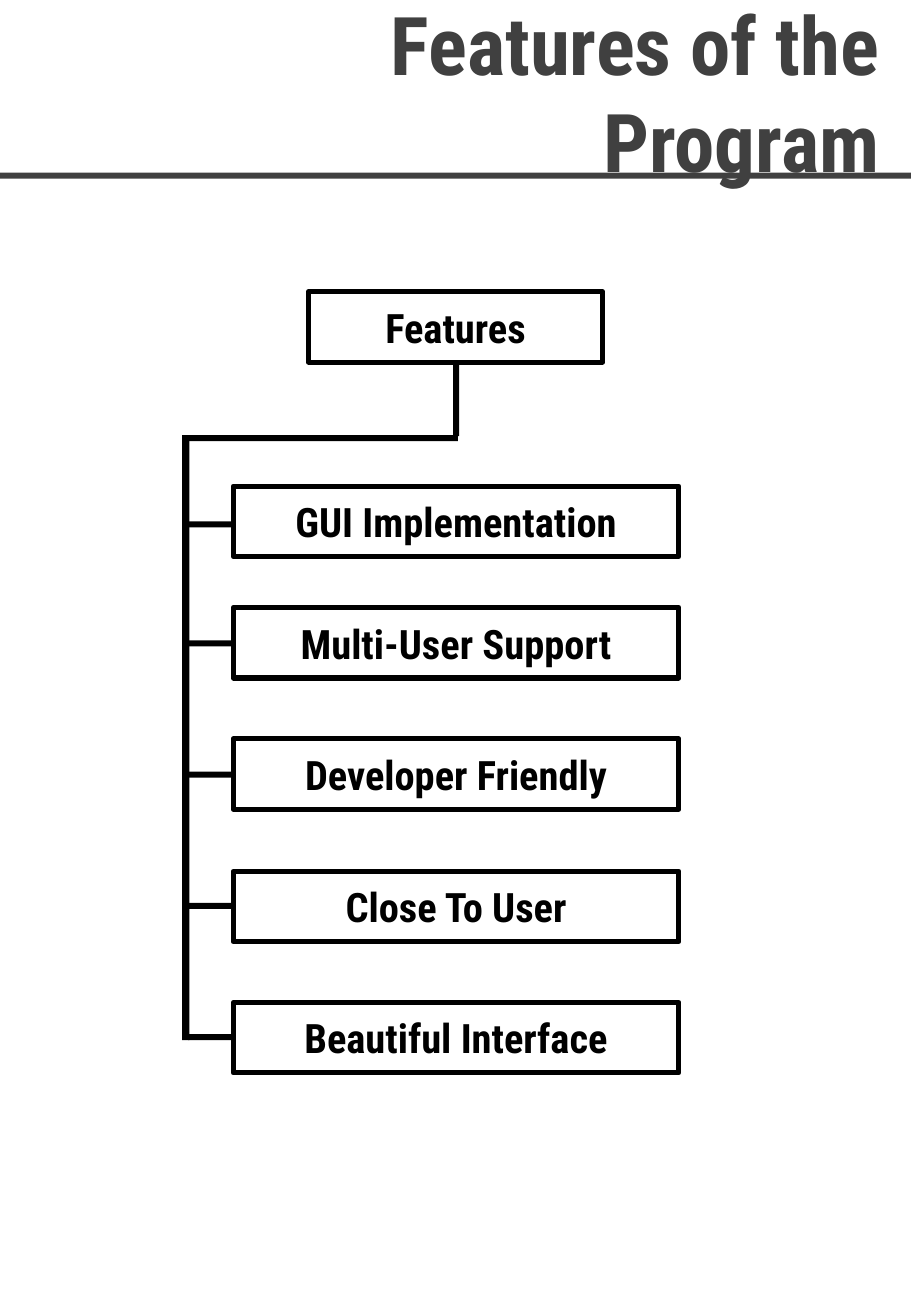
"""Build the program features slide as a small tree diagram."""
import dataclasses

import pptx
import pptx.dml.color
import pptx.enum.shapes
import pptx.enum.text
import pptx.util

SCALE = 9144
ALIGN = pptx.enum.text.PP_ALIGN
RECT = pptx.enum.shapes.MSO_SHAPE.RECTANGLE


@dataclasses.dataclass
class Theme:
    font: str = "Roboto Condensed"
    ink: str = "000000"
    head: str = "404040"
    title: int = 48
    label: int = 24
    border: int = 3


def emu(*sizes):
    return [size * SCALE for size in sizes]


def rgb(code):
    return pptx.dml.color.RGBColor.from_string(code)


class Page:
    def __init__(self, slide, theme):
        self.slide = slide
        self.theme = theme

    def letter(self, shape, text, size, color, align):
        frame = shape.text_frame
        frame.text = text
        frame.word_wrap = True
        frame.auto_size = pptx.enum.text.MSO_AUTO_SIZE.NONE
        frame.vertical_anchor = pptx.enum.text.MSO_ANCHOR.MIDDLE
        line = frame.paragraphs[0]
        line.alignment = align
        font = line.runs[0].font
        font.name = self.theme.font
        font.size = pptx.util.Pt(size)
        font.bold = True
        font.color.rgb = rgb(color)

    def title(self, text, *box):
        shape = self.slide.shapes.title
        shape.left, shape.top, shape.width, shape.height = emu(*box)
        self.letter(shape, text, self.theme.title, self.theme.head, ALIGN.RIGHT)

    def rect(self, *box):
        shape = self.slide.shapes.add_shape(RECT, *emu(*box))
        shape.shadow.inherit = False
        return shape

    def label(self, text, *box):
        shape = self.rect(*box)
        shape.fill.background()
        shape.line.color.rgb = rgb(self.theme.ink)
        shape.line.width = pptx.util.Pt(self.theme.border)
        self.letter(shape, text, self.theme.label, self.theme.ink, ALIGN.CENTER)

    def bar(self, color, *box):
        shape = self.rect(*box)
        shape.fill.solid()
        shape.fill.fore_color.rgb = rgb(color)
        shape.line.fill.background()


def main():
    deck = pptx.Presentation()
    deck.slide_width, deck.slide_height = emu(750, 1083)
    theme = Theme()
    page = Page(deck.slides.add_slide(deck.slide_layouts[5]), theme)

    page.title("Features of the Program", 134, 17, 600, 117)
    page.bar(theme.head, 0, 142, 750, 5)

    page.label("Features", 254, 240, 242, 58)
    page.bar(theme.ink, 373, 299, 5, 60)
    page.bar(theme.ink, 152, 358, 225, 5)
    page.bar(theme.ink, 150, 358, 6, 498)

    items = [
        ("GUI Implementation", 400, 429),
        ("Multi-User Support", 500, 527),
        ("Developer Friendly", 608, 635),
        ("Close To User", 717, 743),
        ("Beautiful Interface", 825, 851),
    ]
    for text, top, branch in items:
        page.label(text, 192, top, 367, 58)
        page.bar(theme.ink, 155, branch, 36, 5)

    deck.save("out.pptx")


if __name__ == "__main__":
    main()
